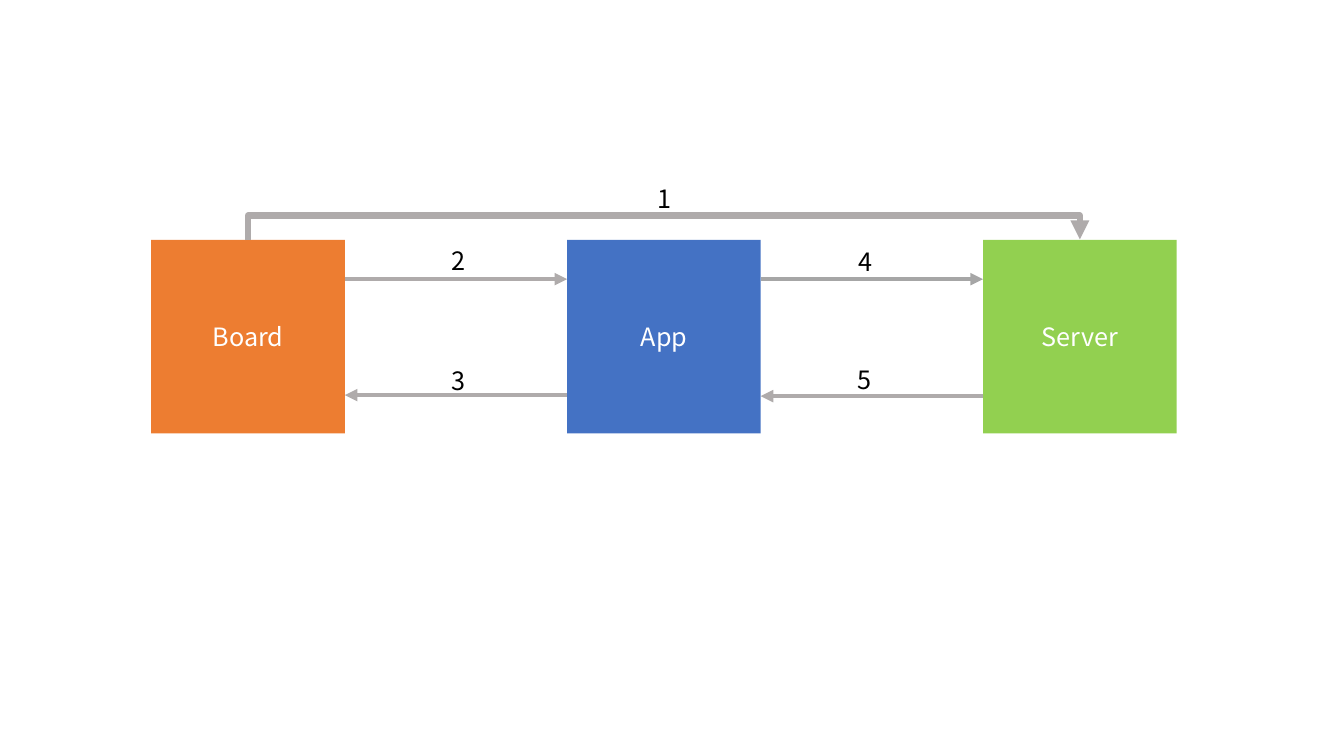
"""Draw the message flow between board, app and server."""
import pptx
import pptx.util
import pptx.dml.color
import pptx.enum.shapes
import pptx.enum.text
import pptx.oxml
import pptx.oxml.ns

Inches = pptx.util.Inches
RGB = pptx.dml.color.RGBColor
KIND = pptx.enum.shapes.MSO_CONNECTOR

ORANGE = RGB(0xED, 0x7D, 0x31)
BLUE = RGB(0x44, 0x72, 0xC4)
GREEN = RGB(0x92, 0xD0, 0x50)
GRAY = RGB(0xAF, 0xAB, 0xAB)
DARK = RGB(0xA6, 0xA6, 0xA6)
WHITE = RGB(255, 255, 255)
BLACK = RGB(0, 0, 0)
FONT = "Noto Sans CJK KR"

NODES = [("Board", ORANGE), ("App", BLUE), ("Server", GREEN)]
FLOWS = [(0, 1, 2.77, GRAY), (1, 0, 3.92, GRAY),
         (1, 2, 2.77, DARK), (2, 1, 3.93, GRAY)]
LABELS = [("1", 6.42, 1.77), ("2", 4.38, 2.38), ("3", 4.38, 3.58),
          ("4", 8.42, 2.39), ("5", 8.41, 3.57)]
LEFT, TOP, SIDE = 1.5, 2.38, 1.92
PITCH = (9.75 - LEFT) / 2
RISE, DROP = 0.25, 0.01


def write(shape, text, color):
    shape.text_frame.text = text
    font = shape.text_frame.paragraphs[0].runs[0].font
    font.name, font.size = FONT, pptx.util.Pt(18)
    font.color.rgb = color


def add_node(slide, num, text, color):
    box = slide.shapes.add_shape(
        pptx.enum.shapes.MSO_SHAPE.RECTANGLE, Inches(LEFT + num * PITCH),
        Inches(TOP), Inches(SIDE), Inches(SIDE))
    box.shadow.inherit = False
    box.fill.solid()
    box.fill.fore_color.rgb = color
    box.line.fill.background()
    write(box, text, WHITE)
    box.text_frame.vertical_anchor = pptx.enum.text.MSO_ANCHOR.MIDDLE
    box.text_frame.paragraphs[0].alignment = pptx.enum.text.PP_ALIGN.CENTER


def add_arrow(slide, kind, ends, color, width):
    arrow = slide.shapes.add_connector(kind, *map(Inches, ends))
    arrow.line.color.rgb = color
    arrow.line.width = pptx.util.Pt(width)
    head = pptx.oxml.parse_xml(
        f'<a:tailEnd {pptx.oxml.ns.nsdecls("a")} type="triangle"/>')
    arrow.line._get_or_add_ln().append(head)
    arrow._element.spPr.append(pptx.oxml.parse_xml(
        f'<a:effectLst {pptx.oxml.ns.nsdecls("a")}/>'))
    return arrow


def add_bypass(slide):
    mid = LEFT + PITCH + SIDE / 2
    ends = (mid + DROP / 2, TOP + PITCH, mid - DROP / 2, TOP - PITCH)
    arrow = add_arrow(slide, KIND.ELBOW, ends, GRAY, 4.5)
    props = arrow._element.spPr
    props.find(pptx.oxml.ns.qn("a:xfrm")).set("rot", "5400000")
    guide = pptx.oxml.parse_xml(
        f'<a:gd {pptx.oxml.ns.nsdecls("a")} name="adj1" '
        f'fmla="val {round(RISE / DROP * 100000)}"/>')
    props.find(".//" + pptx.oxml.ns.qn("a:avLst")).append(guide)


def add_flow(slide, start, end, y, color):
    x0, x1 = LEFT + start * PITCH, LEFT + end * PITCH
    if start < end:
        x0 += SIDE
    else:
        x1 += SIDE
    add_arrow(slide, KIND.STRAIGHT, (x0, y, x1, y), color, 3)


def add_label(slide, text, x, y):
    box = slide.shapes.add_textbox(*map(Inches, (x, y, 0.75, 0.4)))
    box.text_frame.word_wrap = True
    box.text_frame.auto_size = pptx.enum.text.MSO_AUTO_SIZE.SHAPE_TO_FIT_TEXT
    write(box, text, BLACK)


def main():
    deck = pptx.Presentation()
    deck.slide_width, deck.slide_height = Inches(13.33), Inches(7.5)
    slide = deck.slides.add_slide(deck.slide_layouts[6])
    for num, node in enumerate(NODES):
        add_node(slide, num, *node)
    add_bypass(slide)
    for flow in FLOWS:
        add_flow(slide, *flow)
    for label in LABELS:
        add_label(slide, *label)
    deck.save("out.pptx")


if __name__ == "__main__":
    main()
